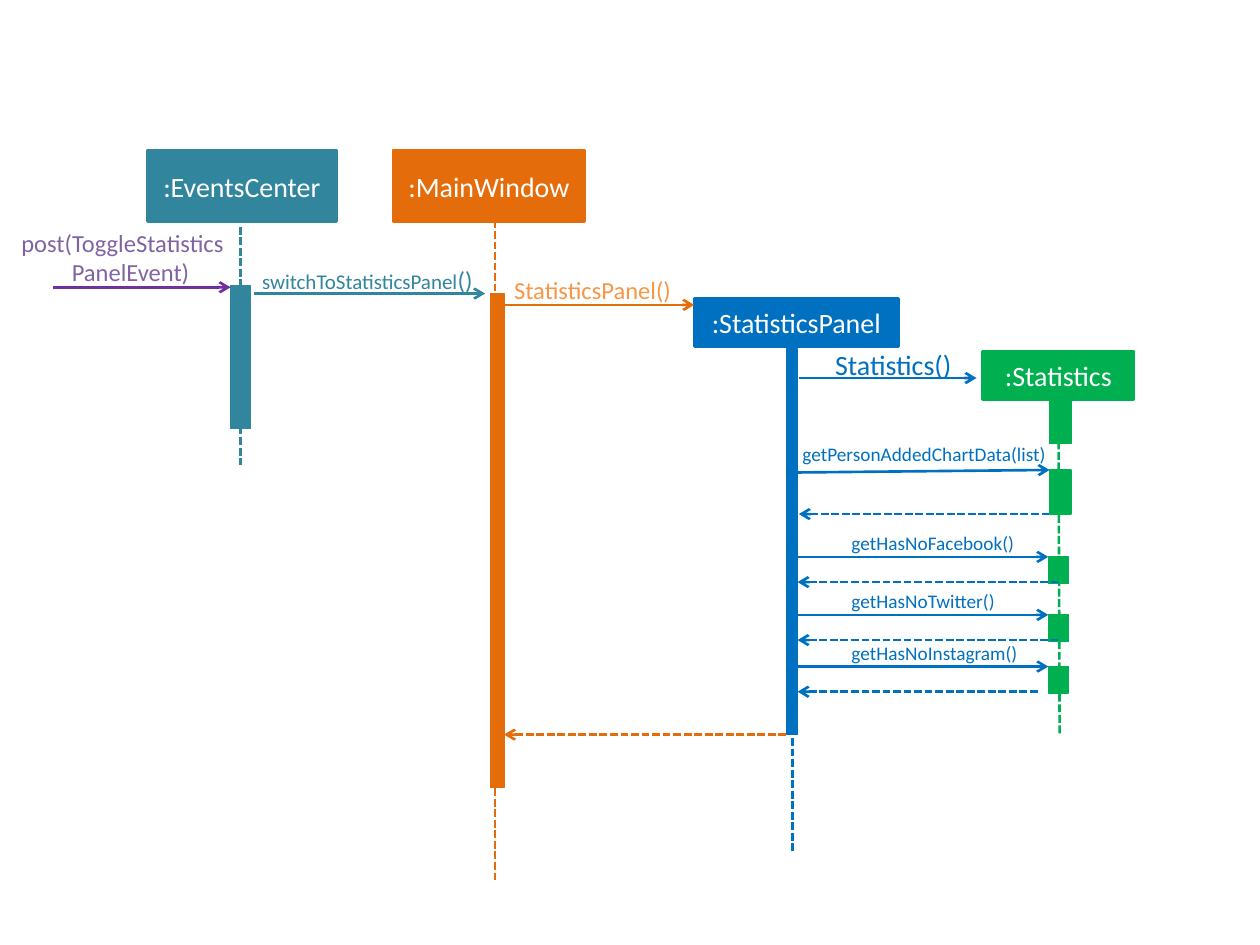
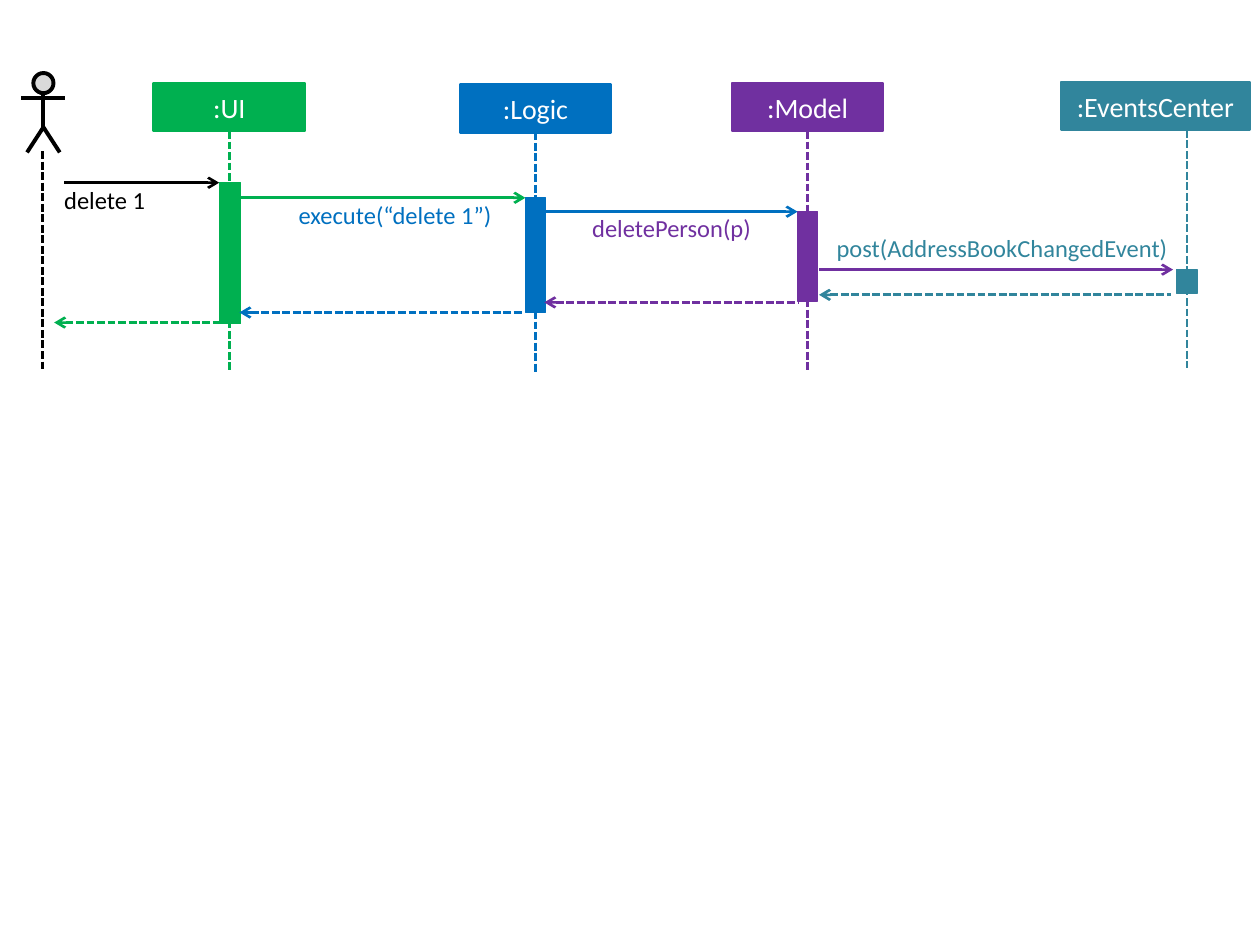
from lxml import etree
from pptx import Presentation
from pptx.dml.color import RGBColor
from pptx.enum import dml, shapes, text
from pptx.oxml import ns
from pptx.util import Inches, Pt

FONT = "Calibri"
WHITE = RGBColor(0xFF, 0xFF, 0xFF)
BLACK = RGBColor(0, 0, 0)
GREY = RGBColor(0xD9, 0xD9, 0xD9)
ORANGE = RGBColor(0xE4, 0x6C, 0x0A)
LIGHT_ORANGE = RGBColor(0xF7, 0x96, 0x46)
TEAL = RGBColor(0x31, 0x85, 0x9C)
BLUE = RGBColor(0x00, 0x70, 0xC0)
GREEN = RGBColor(0x00, 0xB0, 0x50)
PURPLE = RGBColor(0x70, 0x30, 0xA0)
LIGHT_PURPLE = RGBColor(0x80, 0x64, 0xA2)

HEAD_H = 0.38
JOIN_GAP = 0.025


def add_run(p, wording, size, color):
    r = p.add_run()
    r.text = wording
    r.font.name, r.font.size = FONT, Pt(size)
    r.font.color.rgb = color


def add_block(s, box, fill, line, weight, kind=shapes.MSO_SHAPE.RECTANGLE):
    sp = s.shapes.add_shape(kind, *map(Inches, box))
    sp.shadow.inherit = False
    sp.fill.solid()
    sp.fill.fore_color.rgb = fill
    sp.line.color.rgb = line
    sp.line.width = Pt(weight)
    return sp


def add_line(s, color, start, end, weight=1.5, dashed=False, arrow=None):
    """Draw a straight line; arrow is "headEnd" (at start) or "tailEnd" (at end)."""
    c = s.shapes.add_connector(shapes.MSO_CONNECTOR.STRAIGHT,
                               *map(Inches, (*start, *end)))
    c.line.color.rgb = color
    c.line.width = Pt(weight)
    if dashed:
        c.line.dash_style = dml.MSO_LINE.SQUARE_DOT
    sp_pr = c._element.spPr
    if arrow:
        etree.SubElement(sp_pr.find(ns.qn("a:ln")), ns.qn("a:" + arrow), type="arrow")
    etree.SubElement(sp_pr, ns.qn("a:effectLst"))
    return c


def participant(s, name, color, box, life, bars):
    """Head box, lifeline (x, top, bottom) and activation bars."""
    head = add_block(s, box, color, color, 1.5)
    tf = head.text_frame
    tf.vertical_anchor = text.MSO_ANCHOR.MIDDLE
    p = tf.paragraphs[0]
    p.alignment = text.PP_ALIGN.CENTER
    add_run(p, name, 16, WHITE)

    x, top, bottom = life
    left, head_top, w, h = box
    lifeline = add_line(s, color, (x, top), (x, bottom), dashed=True)
    if abs(left + w / 2 - x) < JOIN_GAP and abs(head_top + h - top) < JOIN_GAP:
        lifeline.begin_connect(head, 2)
    for bar in bars:
        add_block(s, bar, color, color, 0.75)


def call(s, color, x1, x2, y):
    add_line(s, color, (x1, y), (x2, y), arrow="tailEnd")


def reply(s, color, x1, x2, y):
    """Dashed arrow that points left, to x1."""
    add_line(s, color, (x1, y), (x2, y), dashed=True, arrow="headEnd")


def label(s, box, lines, color, size=14, padded=False):
    """Message text; lines holds (indent, runs) and runs hold (wording, size).

    A plain string stands for one line. Padded labels keep the usual insets
    and do not wrap.
    """
    tf = s.shapes.add_textbox(*map(Inches, box)).text_frame
    tf.word_wrap = not padded
    if not padded:
        tf.margin_left = tf.margin_right = tf.margin_top = tf.margin_bottom = 0
    if isinstance(lines, str):
        lines = [(0, [(lines, size)])]
    for i, (indent, runs) in enumerate(lines):
        p = tf.add_paragraph() if i else tf.paragraphs[0]
        if indent:
            p._p.get_or_add_pPr().set("marL", str(Inches(indent)))
        for wording, run_size in runs:
            add_run(p, wording, run_size, color)


def actor(s, left, top, w, h):
    """Stick figure in the given box."""
    g = s.shapes.add_group_shape()
    mid, hip, weight, head = left + w / 2, top + h - 0.2, 2.25, 0.16
    add_block(g, (mid - head / 2, top, head, head), GREY, BLACK, weight,
              shapes.MSO_SHAPE.FLOWCHART_CONNECTOR)
    add_line(g, BLACK, (mid, top + head), (mid, hip), weight)
    add_line(g, BLACK, (left, top + 0.2), (left + w, top + 0.2), weight)
    legs = [(Inches(x), Inches(y)) for x, y in
            ((mid - 0.13, top + h), (mid, hip), (mid + 0.13, top + h))]
    fb = g.shapes.build_freeform(*legs[0])
    fb.add_line_segments(legs[1:], close=False)
    sp = fb.convert_to_shape()
    sp.shadow.inherit = False
    sp.fill.background()
    sp.line.color.rgb = BLACK
    sp.line.width = Pt(weight)


def statistics_sequence(s):
    participant(s, ":MainWindow", ORANGE, (3.12, 1.19, 1.52, 0.57),
                (3.93, 1.75, 7), [(3.89, 2.33, 0.11, 3.92)])
    participant(s, ":EventsCenter", TEAL, (1.17, 1.19, 1.5, 0.57),
                (1.91, 1.8, 3.69), [(1.83, 2.27, 0.16, 1.13)])
    participant(s, ":StatisticsPanel", BLUE, (5.51, 2.37, 1.62, HEAD_H),
                (6.29, 2.77, 6.75), [(6.24, 2.77, 0.09, 3.06)])
    getter_tops = (4.42, 4.88, 5.29)
    participant(s, ":Statistics", GREEN, (7.8, 2.79, 1.2, HEAD_H), (8.41, 3.17, 5.83),
                [(8.33, 3.17, 0.17, 0.35), (8.33, 3.73, 0.17, 0.35)]
                + [(8.32, y, 0.16, 0.21) for y in getter_tops])

    call(s, PURPLE, 0.42, 1.83, 2.28)
    label(s, (0.17, 1.81, 2.97, 0.47),
          [(0, [("post(ToggleStatistics", 14)]), (0.4, [("PanelEvent)", 14)])],
          LIGHT_PURPLE)
    call(s, TEAL, 2.02, 3.85, 2.33)
    label(s, (2.08, 2.1, 2, 0.24),
          [(0, [("switchToStatisticsPanel", 12), ("()", 14)])], TEAL)
    call(s, ORANGE, 4, 5.51, 2.42)
    label(s, (4.08, 2.18, 1.56, 0.24), "StatisticsPanel()", LIGHT_ORANGE)
    call(s, BLUE, 6.34, 7.75, 3)
    label(s, (6.53, 2.71, 1.14, 0.37), "Statistics()", BLUE, 16, padded=True)

    add_line(s, BLUE, (6.31, 3.75), (8.33, 3.73), arrow="tailEnd")
    label(s, (6.27, 3.46, 2.15, 0.29), "getPersonAddedChartData(list)", BLUE, 11,
          padded=True)
    reply(s, BLUE, 6.34, 8.33, 4.08)
    getters = (("getHasNoFacebook()", 1.5, 8.41), ("getHasNoTwitter()", 1.36, 8.4),
               ("getHasNoInstagram()", 1.53, 8.24))
    for y, (name, width, reply_end) in zip(getter_tops, getters):
        call(s, BLUE, 6.25, 8.32, y)
        label(s, (6.66, y - 0.25, width, 0.29), name, BLUE, 11, padded=True)
        reply(s, BLUE, 6.33, reply_end, y + 0.2)
    reply(s, ORANGE, 4, 6.25, 5.83)


def delete_sequence(s):
    actor(s, 0.17, 0.58, 0.35, 0.63)
    add_line(s, BLACK, (0.34, 1.2), (0.34, 2.95), dashed=True)
    participant(s, ":UI", GREEN, (1.22, 0.66, 1.2, HEAD_H),
                (1.82, 1.06, 2.95), [(1.74, 1.45, 0.17, 1.12)])
    participant(s, ":Logic", BLUE, (3.65, 0.67, 1.2, HEAD_H),
                (4.25, 1.07, 2.95), [(4.17, 1.57, 0.16, 0.91)])
    participant(s, ":Model", PURPLE, (5.81, 0.66, 1.2, HEAD_H),
                (6.41, 1.06, 2.95), [(6.33, 1.68, 0.16, 0.71)])
    participant(s, ":EventsCenter", TEAL, (8.42, 0.65, 1.5, HEAD_H),
                (9.42, 1.03, 2.92), [(9.34, 2.14, 0.16, 0.19)])

    call(s, BLACK, 0.51, 1.74, 1.45)
    call(s, GREEN, 1.9, 4.17, 1.57)
    call(s, BLUE, 4.32, 6.33, 1.68)
    call(s, PURPLE, 6.5, 9.31, 2.14)
    label(s, (0.51, 1.47, 0.94, 0.24), "delete 1", BLACK)
    label(s, (2.37, 1.59, 1.56, 0.24), "execute(“delete 1”)", BLUE)
    label(s, (4.7, 1.69, 1.56, 0.24), "deletePerson(p)", PURPLE)
    label(s, (6.64, 1.85, 2.67, 0.24), "post(AddressBookChangedEvent)", TEAL)
    reply(s, TEAL, 6.5, 9.29, 2.34)
    reply(s, PURPLE, 4.32, 6.33, 2.4)
    reply(s, BLUE, 1.9, 4.15, 2.48)
    reply(s, GREEN, 0.43, 1.74, 2.56)


def main():
    prs = Presentation()
    prs.slide_width, prs.slide_height = Inches(10), Inches(7.5)
    for build in (statistics_sequence, delete_sequence):
        build(prs.slides.add_slide(prs.slide_layouts[6]))
    prs.save("out.pptx")


if __name__ == "__main__":
    main()
